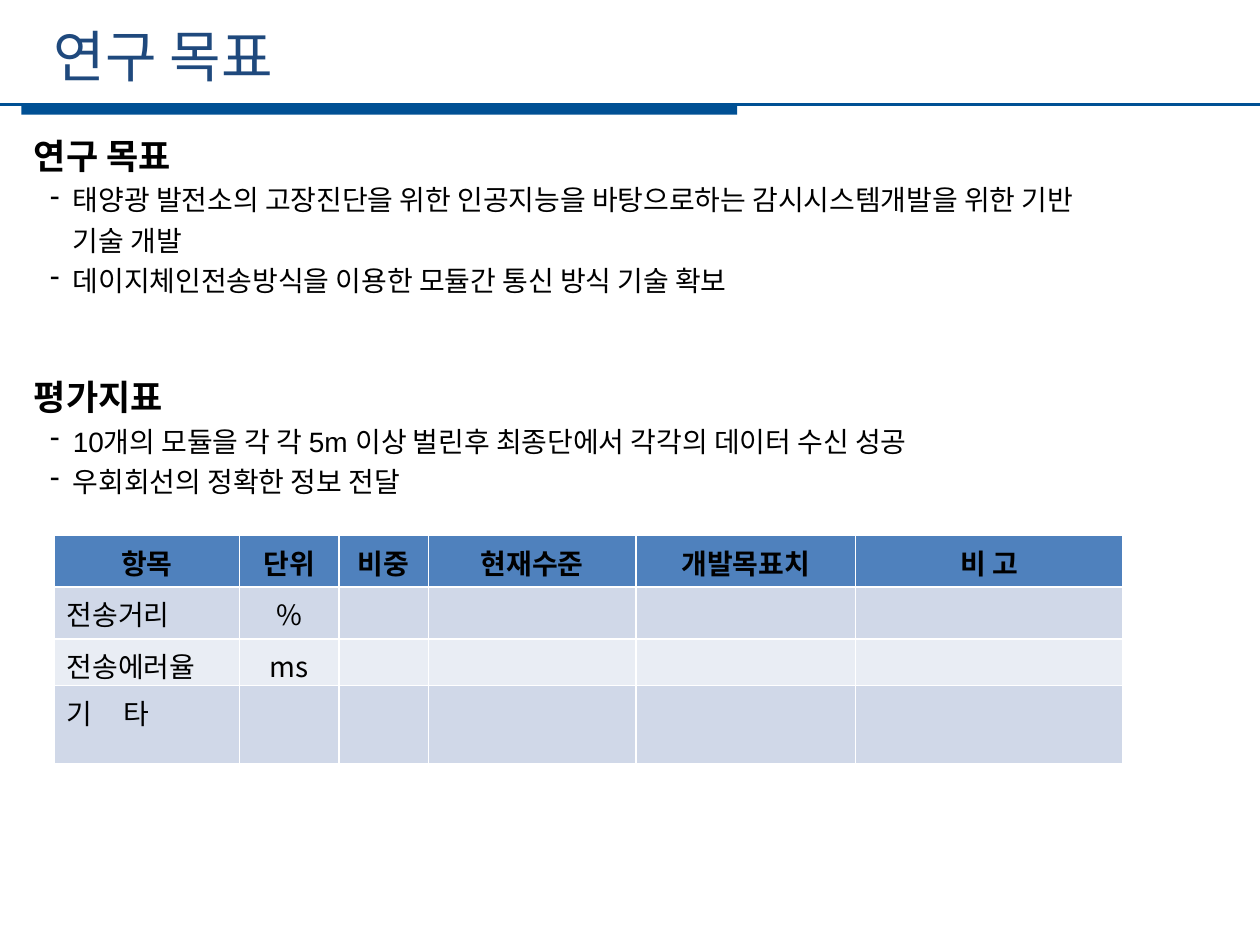
from dataclasses import dataclass

from lxml import etree
from pptx import Presentation
from pptx.dml.color import RGBColor
from pptx.enum.shapes import MSO_CONNECTOR, MSO_SHAPE
from pptx.enum.text import MSO_ANCHOR, PP_ALIGN
from pptx.oxml.ns import qn
from pptx.util import Inches, Pt

STRAIGHT = MSO_CONNECTOR.STRAIGHT
RECTANGLE = MSO_SHAPE.RECTANGLE
MIDDLE = MSO_ANCHOR.MIDDLE
LEFT, CENTER = PP_ALIGN.LEFT, PP_ALIGN.CENTER


@dataclass(frozen=True)
class Theme:
    title_color = RGBColor.from_string("1F497D")
    rule_color = RGBColor.from_string("005094")
    text_color = RGBColor.from_string("000000")
    header_fill = RGBColor.from_string("4F81BD")
    band_fills = (RGBColor.from_string("D0D8E8"), RGBColor.from_string("E9EDF4"))
    korean_font = "Noto Sans CJK KR"
    body_font = "Arial"
    title_size = Pt(32)
    heading_size = Pt(20)
    text_size = Pt(16)
    line_pitch = Pt(23)
    section_gap = Pt(46)


THEME = Theme()

SECTIONS = [
    ("연구 목표", [
        "태양광 발전소의 고장진단을 위한 인공지능을 바탕으로하는 감시시스템개발을 위한 기반\v기술 개발",
        "데이지체인전송방식을 이용한 모듈간 통신 방식 기술 확보",
    ]),
    ("평가지표", [
        "10개의 모듈을 각 각 5m 이상 벌린후 최종단에서 각각의 데이터 수신 성공",
        "우회회선의 정확한 정보 전달",
    ]),
]

INDICATORS = [
    ["항목", "단위", "비중", "현재수준", "개발목표치", "비 고"],
    ["전송거리", "%", "", "", "", ""],
    ["전송에러율", "ms", "", "", "", ""],
    ["기     타", "", "", "", "", ""],
]
COLUMN_WIDTHS = [1.47, 0.79, 0.71, 1.65, 1.74, 2.12]
ROW_HEIGHTS = [0.41, 0.41, 0.37, 0.62]


def style_font(para, name, size, color, bold=False):
    para.font.name = name
    para.font.size = size
    para.font.color.rgb = color
    para.font.bold = bold


def add_dash(para):
    properties = para._p.get_or_add_pPr()
    properties.set("marL", str(Inches(0.31)))
    properties.set("indent", str(-Inches(0.18)))
    bullet = etree.SubElement(properties, qn("a:buChar"))
    bullet.set("char", "-")


def add_title(page, left, top, width, height):
    box = page.shapes.add_textbox(left, top, width, height)
    frame = box.text_frame
    frame.word_wrap = True
    frame.vertical_anchor = MIDDLE
    frame.margin_top = frame.margin_bottom = 0
    para = frame.paragraphs[0]
    para.text = "연구 목표"
    style_font(para, THEME.korean_font, THEME.title_size, THEME.title_color)


def add_title_rule(page, left, top, width, height):
    bar = page.shapes.add_shape(
        RECTANGLE, left + Inches(0.17), top, Inches(5.68), height)
    bar.shadow.inherit = False
    bar.fill.solid()
    bar.fill.fore_color.rgb = THEME.rule_color
    bar.line.fill.background()

    rule = page.shapes.add_connector(STRAIGHT, left, top, left + width, top)
    rule.line.color.rgb = THEME.rule_color
    rule.line.width = Pt(1.25)
    etree.SubElement(rule._element.spPr, qn("a:effectLst"))


def add_sections(page, left, top, width, height):
    frame = page.shapes.add_textbox(left, top, width, height).text_frame
    frame.word_wrap = True
    for index, (heading, items) in enumerate(SECTIONS):
        para = frame.add_paragraph() if index else frame.paragraphs[0]
        para.text = heading
        para.line_spacing = THEME.line_pitch
        if index:
            para.space_before = THEME.section_gap
        style_font(para, THEME.body_font, THEME.heading_size, THEME.text_color, True)
        for item in items:
            para = frame.add_paragraph()
            para.text = item
            para.line_spacing = THEME.line_pitch
            style_font(para, THEME.body_font, THEME.text_size, THEME.text_color)
            add_dash(para)


def add_indicator_table(page, left, top, width, height):
    table = page.shapes.add_table(
        len(INDICATORS), len(COLUMN_WIDTHS), left, top, width, height).table
    for column, column_width in zip(table.columns, COLUMN_WIDTHS):
        column.width = Inches(column_width)
    for row, row_height in zip(table.rows, ROW_HEIGHTS):
        row.height = Inches(row_height)
    for row_index, values in enumerate(INDICATORS):
        is_header = row_index == 0
        band = THEME.band_fills[(row_index - 1) % 2]
        for column_index, value in enumerate(values):
            cell = table.cell(row_index, column_index)
            cell.margin_bottom = 0
            cell.fill.solid()
            cell.fill.fore_color.rgb = THEME.header_fill if is_header else band
            para = cell.text_frame.paragraphs[0]
            para.text = value
            para.alignment = CENTER if is_header or column_index else LEFT
            style_font(para, THEME.korean_font, THEME.text_size,
                       THEME.text_color, is_header)


def main():
    deck = Presentation()
    deck.slide_width, deck.slide_height = Inches(10), Inches(7.5)
    page = deck.slides.add_slide(deck.slide_layouts[6])
    add_title_rule(page, 0, Inches(0.83), deck.slide_width, Inches(0.08))
    add_title(page, Inches(0.33), Inches(0.12), Inches(8.96), Inches(0.64))
    add_sections(page, Inches(0.17), Inches(1.03), Inches(9.52), Inches(3))
    add_indicator_table(page, Inches(0.43), Inches(4.25),
                        Inches(sum(COLUMN_WIDTHS)), Inches(sum(ROW_HEIGHTS)))
    deck.save("out.pptx")


if __name__ == "__main__":
    main()
